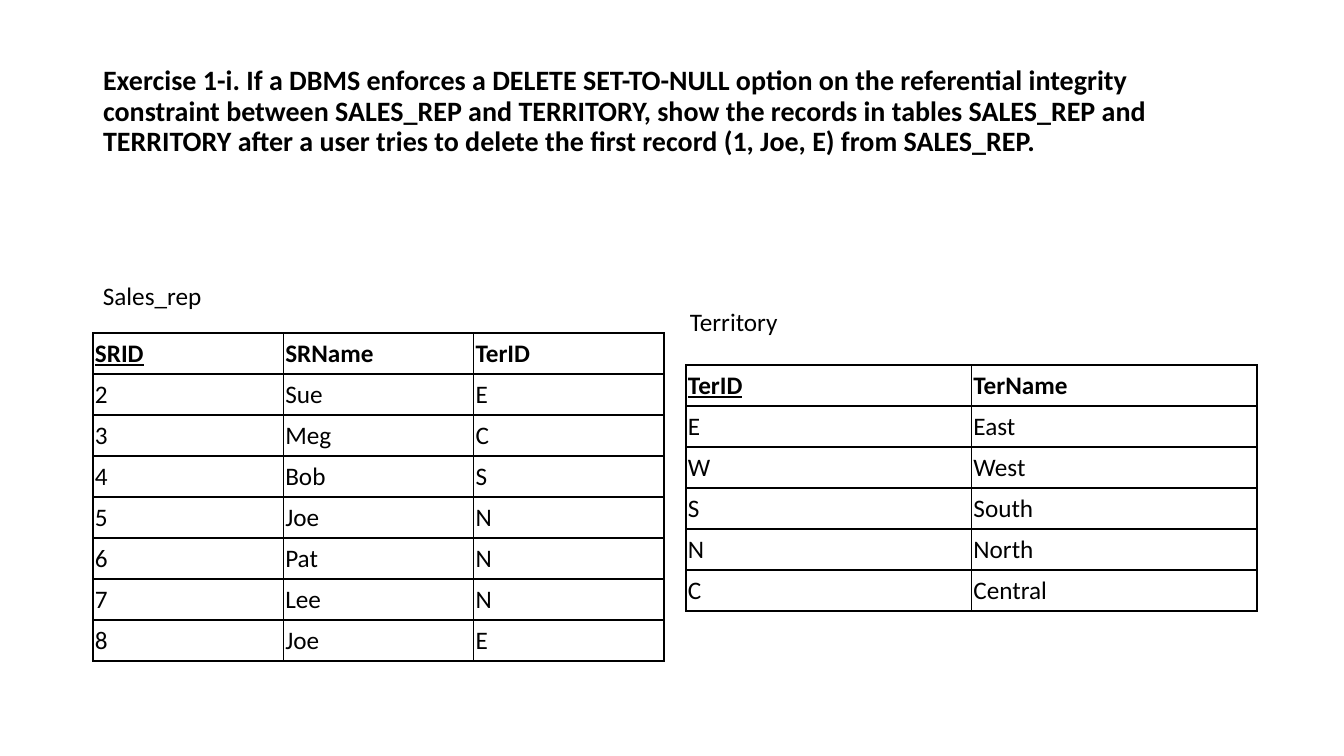
from lxml.etree import SubElement
from pptx import Presentation
from pptx.dml.color import RGBColor
from pptx.enum.text import MSO_ANCHOR as Anchor, MSO_AUTO_SIZE as AutoSize, PP_ALIGN as Align
from pptx.oxml.ns import qn
from pptx.util import Emu, Pt

# Content
TITLE = (
    "Exercise 1-i. If a DBMS enforces a DELETE SET-TO-NULL option on the referential "
    "integrity constraint between SALES_REP and TERRITORY, show the records in tables "
    "SALES_REP and TERRITORY after a user tries to delete the first record (1, Joe, E) "
    "from SALES_REP."
)
SALES_REP = [
    ("SRID", "SRName", "TerID"),
    ("2", "Sue", "E"),
    ("3", "Meg", "C"),
    ("4", "Bob", "S"),
    ("5", "Joe", "N"),
    ("6", "Pat", "N"),
    ("7", "Lee", "N"),
    ("8", "Joe", "E"),
]
TERRITORY = [
    ("TerID", "TerName"),
    ("E", "East"),
    ("W", "West"),
    ("S", "South"),
    ("N", "North"),
    ("C", "Central"),
]
# Label, label box (left, top, width), table corner (left, top), records
RELATIONS = [
    ("Sales_rep", (93, 275, 120), (93, 333), SALES_REP),
    ("Territory", (680, 301, 109), (686, 365), TERRITORY),
]

# Layout and style
SLIDE_SIZE = (1344, 756)
TITLE_BOX = (93, 39, 1159, 146)
LABEL_HEIGHT = 40
TABLE_WIDTH = 571
ROW_HEIGHT = 41
CELL_MARGIN = 2
FONT = "Calibri"
BLACK = "000000"


def px(length):
    return Emu(round(length * 914400 / 100.8))


def color(value):
    return RGBColor.from_string(value)


def write(text_frame, text, size, bold=False, underline=False):
    text_frame.text = text
    paragraph = text_frame.paragraphs[0]
    paragraph.alignment = Align.LEFT
    font = paragraph.runs[0].font
    font.name, font.size = FONT, Pt(size)
    font.bold, font.underline = bold, underline
    font.color.rgb = color(BLACK)
    return paragraph


def add_borders(cell):
    properties = cell._tc.get_or_add_tcPr()
    for side in ("a:lnL", "a:lnR", "a:lnT", "a:lnB"):
        line = SubElement(properties, qn(side), w=str(Pt(1)))
        fill = SubElement(line, qn("a:solidFill"))
        SubElement(fill, qn("a:srgbClr"), val=BLACK)


def add_label(slide, text, box):
    shape = slide.shapes.add_textbox(*map(px, (*box, LABEL_HEIGHT)))
    write(shape.text_frame, text, 18)
    shape.text_frame.word_wrap = False
    shape.text_frame.auto_size = AutoSize.SHAPE_TO_FIT_TEXT


def add_records(slide, corner, records):
    row_count, column_count = len(records), len(records[0])
    size = (TABLE_WIDTH, ROW_HEIGHT * row_count)
    table = slide.shapes.add_table(row_count, column_count, *map(px, corner + size)).table
    table.first_row = table.horz_banding = False
    for row_index, record in enumerate(records):
        for column_index, value in enumerate(record):
            cell = table.cell(row_index, column_index)
            is_header = row_index == 0
            write(cell.text_frame, value, 18, is_header, is_header and column_index == 0)
            cell.vertical_anchor = Anchor.MIDDLE
            cell.margin_left = cell.margin_right = px(CELL_MARGIN)
            cell.margin_top = cell.margin_bottom = px(CELL_MARGIN)
            add_borders(cell)
            cell.fill.background()


def main():
    presentation = Presentation()
    presentation.slide_width, presentation.slide_height = map(px, SLIDE_SIZE)
    slide = presentation.slides.add_slide(presentation.slide_layouts[5])

    # Title
    title = slide.shapes.title
    title.left, title.top, title.width, title.height = map(px, TITLE_BOX)
    write(title.text_frame, TITLE, 20, bold=True).line_spacing = 0.9
    title.text_frame.word_wrap = True
    title.text_frame.auto_size = AutoSize.NONE
    title.text_frame.vertical_anchor = Anchor.MIDDLE

    # Labelled tables
    for label, label_box, corner, records in RELATIONS:
        add_records(slide, corner, records)
        add_label(slide, label, label_box)

    presentation.save("out.pptx")


if __name__ == "__main__":
    main()
